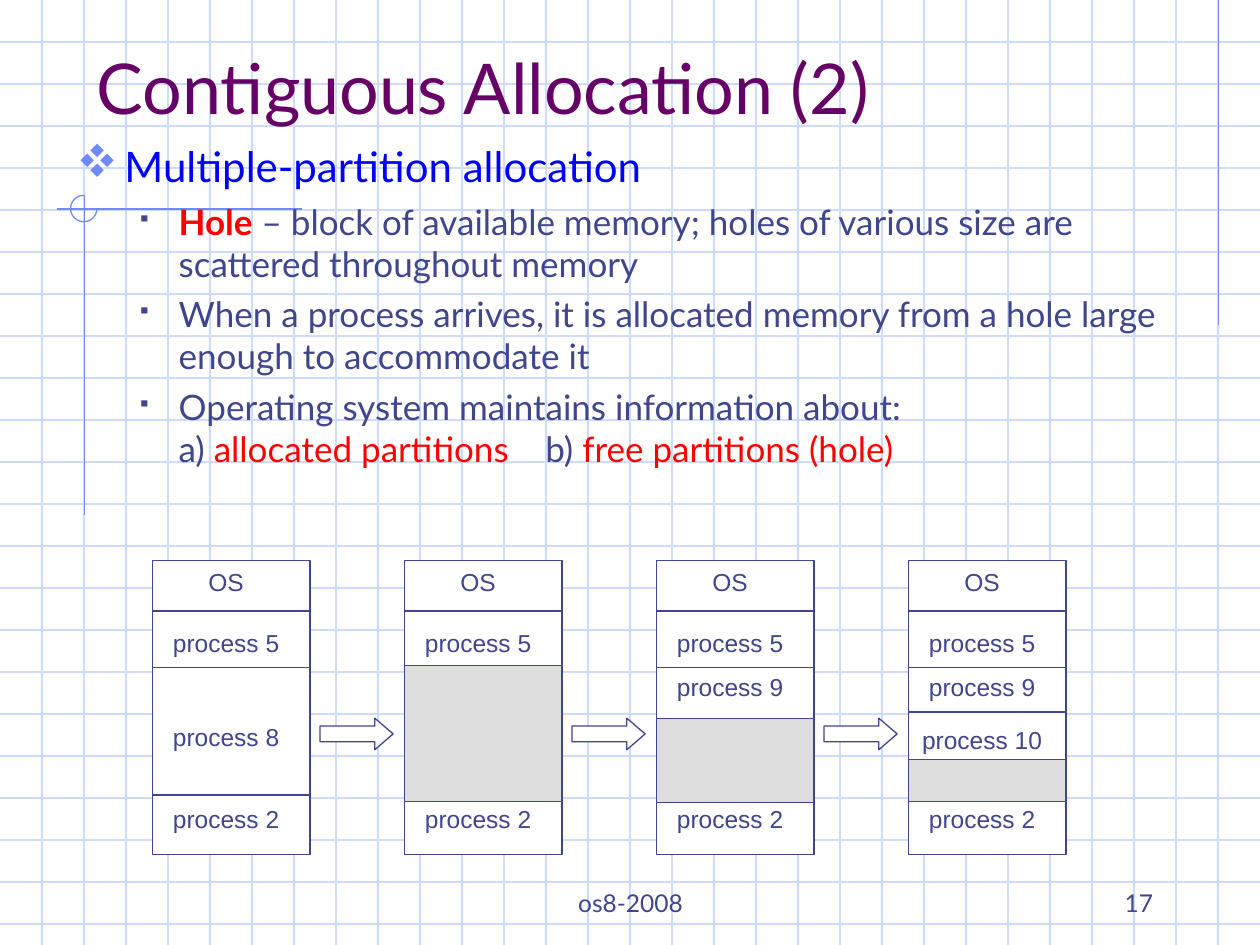
"""Build the slide on contiguous memory allocation with multiple partitions."""
import lxml.etree
import pptx
import pptx.dml.color
import pptx.enum.shapes
import pptx.enum.text
import pptx.oxml.ns
import pptx.util

Inches = pptx.util.Inches
SHAPE = pptx.enum.shapes.MSO_SHAPE
ALIGN = pptx.enum.text.PP_ALIGN
ANCHOR = pptx.enum.text.MSO_ANCHOR
qn = pptx.oxml.ns.qn

COLORS = {
    "grid": "CFDBFD", "accent": "6F89F7", "title": "660066", "head": "0000FF",
    "text": "40458C", "key": "FF0000", "white": "FFFFFF", "hole": "DDDDDD",
}
WIDE, HIGH = 10, 7.5
TITLE = "Contiguous Allocation (2)"
FOOTER, NUMBER = "os8-2008", "17"
MARK_FONT = "Wingdings"
LEVELS = [
    {"size": 24, "left": 0.38, "hang": 0.38, "mark": "v", "tint": "accent", "scale": 110},
    {"size": 20, "left": 0.81, "hang": 0.31, "mark": "§", "tint": "text", "scale": 60},
]
BREAK = "\n"
BODY = [
    (0, [("Multiple-partition allocation", "head", False)]),
    (1, [("Hole", "key", True),
         (" – block of available memory; holes of various size are "
          "scattered throughout memory", "text", False)]),
    (1, [("When a process arrives, it is allocated memory from a hole large "
          "enough to accommodate it", "text", False)]),
    (1, [("Operating system maintains information about:", "text", False),
         (BREAK, "text", False),
         ("a) ", "text", False), ("allocated partitions", "key", False),
         ("\tb) ", "text", False), ("free partitions (hole)", "key", False)]),
]
TABS = [2.91, 3.72]

LEFT, STEP, TOP = 1.21, 2, 4.45
COL_W, COL_H = 1.25, 2.33
COMMON = [("OS", 4.45), ("process 5", 4.93), ("process 2", 6.33)]
STAGES = [
    {"labels": [("process 8", 5.68)], "rules": [4.85, 5.3, 6.31], "hole": None},
    {"labels": [], "rules": [4.85], "hole": (5.28, 1.08)},
    {"labels": [("process 9", 5.28)], "rules": [4.85, 5.3], "hole": (5.7, 0.67)},
    {"labels": [("process 9", 5.28), ("process 10", 5.7)],
     "rules": [4.85, 5.3, 5.65], "hole": (6.03, 0.33)},
]


def rgb(name):
    return pptx.dml.color.RGBColor.from_string(COLORS[name])


def add_line(slide, start, end, color):
    line = slide.shapes.add_connector(
        pptx.enum.shapes.MSO_CONNECTOR.STRAIGHT, *map(Inches, start + end))
    line.line.color.rgb = rgb(color)
    line.line.width = pptx.util.Pt(0.75)
    lxml.etree.SubElement(line._element.spPr, qn("a:effectLst"))


def add_shape(slide, kind, box, fill=None, color="text"):
    shape = slide.shapes.add_shape(kind, *map(Inches, box))
    shape.shadow.inherit = False
    if fill:
        shape.fill.solid()
        shape.fill.fore_color.rgb = rgb(fill)
    else:
        shape.fill.background()
    shape.line.color.rgb = rgb(color)
    shape.line.width = pptx.util.Pt(0.75)
    return shape


def style(run, size, color, font="Lato", bold=False):
    run.font.size = pptx.util.Pt(size)
    run.font.name = font
    run.font.bold = bold
    run.font.color.rgb = rgb(color)


def add_text(slide, box, text, size, color="text", align=ALIGN.LEFT,
             anchor=ANCHOR.BOTTOM, font="Lato", wrap=True):
    frame = slide.shapes.add_textbox(*map(Inches, box)).text_frame
    frame.text = text
    frame.word_wrap = wrap
    frame.vertical_anchor = anchor
    para = frame.paragraphs[0]
    para.alignment = align
    for run in para.runs:
        style(run, size, color, font)


def add_bullet(para, level):
    props = para._p.get_or_add_pPr()
    props.set("marL", str(Inches(level["left"])))
    props.set("indent", str(-Inches(level["hang"])))
    tint = lxml.etree.SubElement(props, qn("a:buClr"))
    lxml.etree.SubElement(tint, qn("a:srgbClr"), val=COLORS[level["tint"]])
    lxml.etree.SubElement(props, qn("a:buSzPct"), val=str(level["scale"] * 1000))
    lxml.etree.SubElement(props, qn("a:buFont"), typeface=MARK_FONT, charset="2")
    lxml.etree.SubElement(props, qn("a:buChar"), char=level["mark"])
    tabs = lxml.etree.SubElement(props, qn("a:tabLst"))
    for stop in TABS:
        lxml.etree.SubElement(tabs, qn("a:tab"), pos=str(Inches(stop)), algn="l")


def add_body(slide):
    frame = slide.shapes.add_textbox(*map(Inches, (0.51, 1.07, 8.9, 3.23))).text_frame
    frame.word_wrap = True
    for index, (depth, parts) in enumerate(BODY):
        para = frame.add_paragraph() if index else frame.paragraphs[0]
        level = LEVELS[depth]
        add_bullet(para, level)
        para.level = depth
        if index:
            para.space_before = pptx.util.Pt(5)
        for text, color, bold in parts:
            if text == BREAK:
                para.add_line_break()
                continue
            run = para.add_run()
            run.text = text
            style(run, level["size"], color, bold=bold)


def add_backdrop(slide):
    for row in range(1, 23):
        add_line(slide, (0, row / 3), (WIDE, row / 3), "grid")
    for col in range(1, 30):
        add_line(slide, (col / 3, 0), (col / 3, HIGH), "grid")
    add_line(slide, (9.67, 0), (9.67, 2.58), "accent")
    add_line(slide, (2.4, 1.66), (0.45, 1.66), "accent")
    add_line(slide, (0.67, 1.55), (0.67, 4.09), "accent")
    arc = add_shape(slide, SHAPE.ARC, (0.56, 1.55, 0.21, 0.21), color="accent")
    arc.adjustments[0] = 0
    arc.adjustments[1] = 162


def add_stage(slide, left, stage):
    add_shape(slide, SHAPE.RECTANGLE, (left, TOP, COL_W, COL_H), "white")
    for y in stage["rules"]:
        add_line(slide, (left, y), (left + COL_W, y), "text")
    if stage["hole"]:
        top, height = stage["hole"]
        add_shape(slide, SHAPE.RECTANGLE, (left, top, COL_W, height), "hole")
    for text, y in COMMON + stage["labels"]:
        add_text(slide, (left, y, 1.17, 0.34), text, 14, align=ALIGN.CENTER,
                 anchor=ANCHOR.MIDDLE, font="Arial", wrap=False)


def main():
    deck = pptx.Presentation()
    deck.slide_width, deck.slide_height = Inches(WIDE), Inches(HIGH)
    slide = deck.slides.add_slide(deck.slide_layouts[6])
    add_backdrop(slide)
    add_text(slide, (0.67, 0.33, 8.5, 0.74), TITLE, 40, "title")
    add_body(slide)
    for index, stage in enumerate(STAGES):
        left = LEFT + index * STEP
        add_stage(slide, left, stage)
        if index < len(STAGES) - 1:
            arrow = add_shape(slide, SHAPE.RIGHT_ARROW, (left + 1.33, 5.7, 0.58, 0.25), "white")
            arrow.adjustments[1] = 0.58
    add_text(slide, (3.42, 6.83, 3.17, 0.5), FOOTER, 14, align=ALIGN.CENTER)
    add_text(slide, (7.17, 6.83, 2.08, 0.5), NUMBER, 14, align=ALIGN.RIGHT)
    deck.save("out.pptx")


if __name__ == "__main__":
    main()
